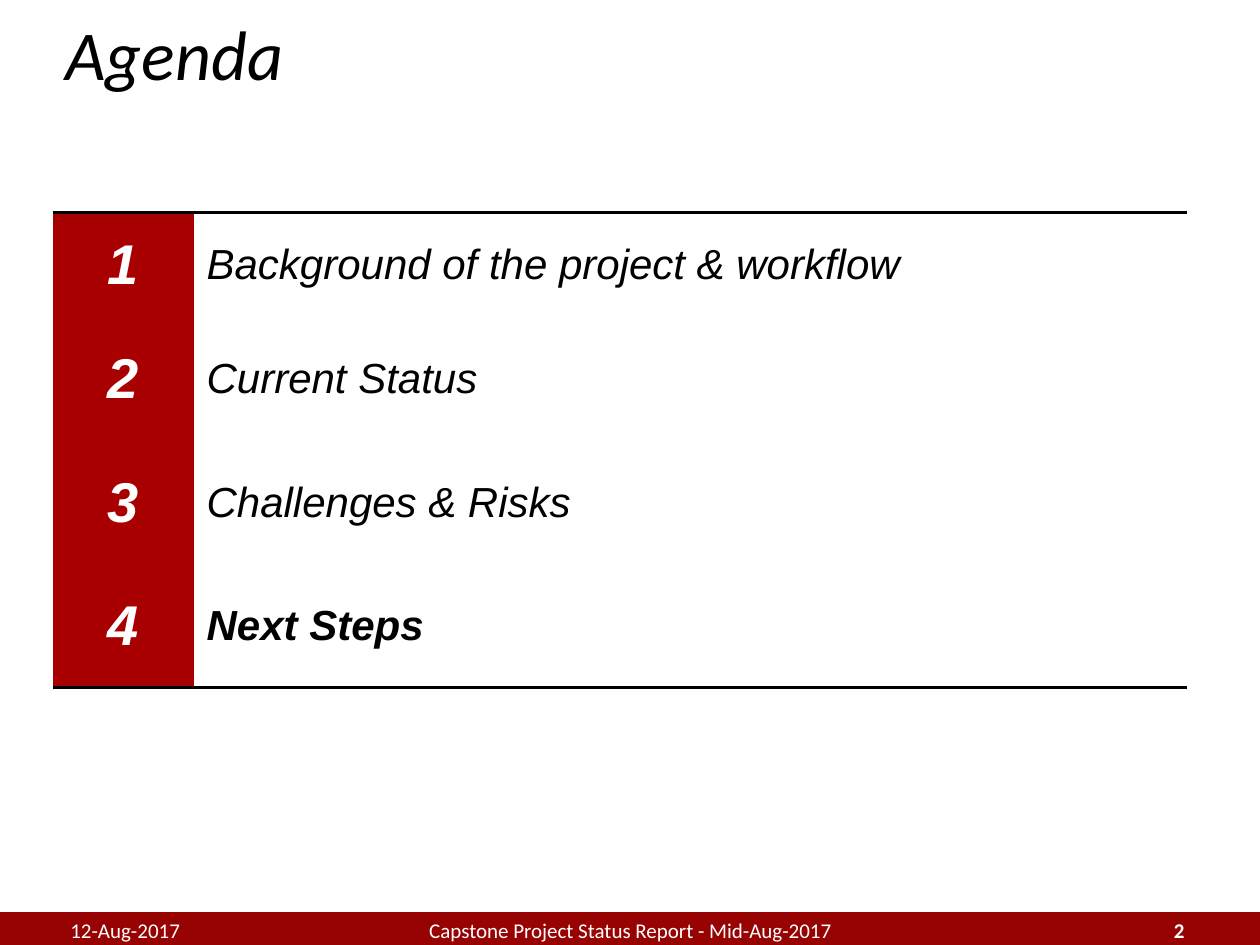
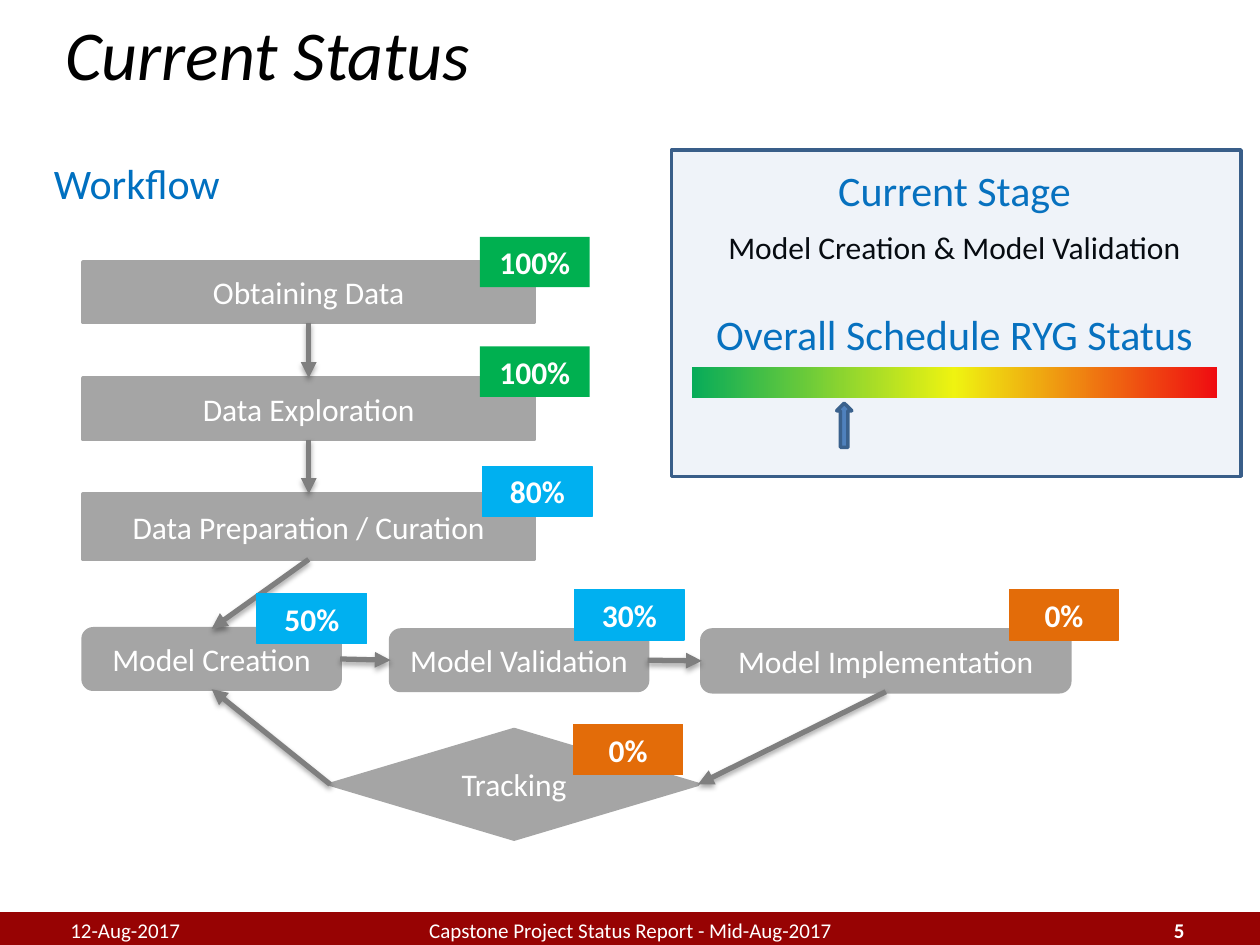
from copy import deepcopy

from lxml import etree
from pptx import Presentation
from pptx.dml.color import RGBColor
from pptx.enum.shapes import MSO_CONNECTOR as Connector, MSO_SHAPE as Shape
from pptx.enum.text import MSO_ANCHOR as Anchor, PP_ALIGN as Align
from pptx.oxml import parse_xml
from pptx.oxml.ns import nsdecls, qn
from pptx.util import Inches, Pt

BLACK, WHITE = "000000", "FFFFFF"
BAND_RED, NUMBER_RED = "970303", "A80000"
STEP_GRAY, ARROW_GRAY = "A5A5A5", "7F7F7F"
HEADING_BLUE, PANEL_BLUE, PANEL_LINE = "0070C0", "4F81BD", "395E89"
DONE_GREEN, ACTIVE_BLUE, WAITING_ORANGE = "00B050", "00B0F0", "E36C09"

TITLE = {"name": "Calibri", "size": Pt(40), "italic": True}
HEADING = {"name": "Calibri", "size": Pt(24)}
BODY = {"name": "Calibri", "size": Pt(18)}
BADGE = {**BODY, "bold": True}
FOOTER = {"name": "Calibri", "size": Pt(12)}
NUMBER = {"name": "Arial", "size": Pt(32), "bold": True, "italic": True}
TOPIC = {"name": "Arial", "size": Pt(24), "italic": True}

NO_GRID_STYLE = "{2D5ABB26-0587-4C30-8999-92F81FD0307C}"
TOP, LEFT, BOTTOM, RIGHT = range(4)  # connection sites of a shape


def rgb(color):
    return RGBColor.from_string(color)


def inches(*lengths):
    return [Inches(length) for length in lengths]


def write(frame, text, font, color, align=Align.LEFT):
    paragraph = frame.paragraphs[0]
    paragraph.alignment = align
    run = paragraph.add_run()
    run.text = text
    for name, value in font.items():
        setattr(run.font, name, value)
    run.font.color.rgb = rgb(color)


def add_text(slide, box, text, font, color, align=Align.LEFT, anchor=Anchor.TOP):
    frame = slide.shapes.add_textbox(*inches(*box)).text_frame
    frame.word_wrap = True
    frame.vertical_anchor = anchor
    write(frame, text, font, color, align)


def add_block(slide, kind, box, fill, line=None, width=2):
    shape = slide.shapes.add_shape(kind, *inches(*box))
    shape.shadow.inherit = False
    shape.fill.solid()
    shape.fill.fore_color.rgb = rgb(fill)
    if line:
        shape.line.color.rgb = rgb(line)
        shape.line.width = Pt(width)
    else:
        shape.line.fill.background()
    return shape


def add_frame(presentation, title, number):
    """Start a slide with its title, red band and footer."""
    slide = presentation.slides.add_slide(presentation.slide_layouts[6])
    add_block(slide, Shape.RECTANGLE, (0, 7.25, 10, 0.25), BAND_RED, BAND_RED)
    add_text(slide, (0.42, 0, 9.25, 0.83), title, TITLE, BLACK, anchor=Anchor.MIDDLE)
    footers = [
        (0.46, 2.33, "12-Aug-2017", Align.LEFT, False),
        (3.17, 3.67, "Capstone Project Status Report - Mid-Aug-2017", Align.CENTER, False),
        (7.17, 2.33, str(number), Align.RIGHT, True),
    ]
    for left, width, text, align, bold in footers:
        add_text(slide, (left, 7.18, width, 0.4), text, {**FOOTER, "bold": bold},
                 WHITE, align, Anchor.MIDDLE)
    return slide


def add_cell_border(cell, side):
    border = parse_xml(
        f'<a:{side} {nsdecls("a")} w="{Pt(2)}"><a:solidFill>'
        f'<a:srgbClr val="{BLACK}"/></a:solidFill></a:{side}>')
    cell._tc.get_or_add_tcPr().insert(0, border)


def add_agenda(slide, box, topics, current):
    """Number the topics in a table and set the current one in bold."""
    number_width = 1.12
    row_heights = [0.83] + [0.98] * (len(topics) - 1)
    frame = slide.shapes.add_table(len(topics), 2, *inches(*box))
    table = frame.table
    table.first_row = table.horz_banding = False
    next(frame._element.iter(qn("a:tableStyleId"))).text = NO_GRID_STYLE
    for column, width in zip(table.columns, (number_width, box[2] - number_width)):
        column.width = Inches(width)
    for index, (topic, height) in enumerate(zip(topics, row_heights)):
        table.rows[index].height = Inches(height)
        topic_font = {**TOPIC, "bold": topic == current}
        contents = [
            (str(index + 1), NUMBER, WHITE, Align.CENTER, NUMBER_RED),
            (topic, topic_font, BLACK, Align.LEFT, WHITE),
        ]
        for cell, (text, font, color, align, fill) in zip(table.rows[index].cells, contents):
            cell.vertical_anchor = Anchor.MIDDLE
            cell.fill.solid()
            cell.fill.fore_color.rgb = rgb(fill)
            write(cell.text_frame, text, font, color, align)
            if index == 0:
                add_cell_border(cell, "lnT")
            if index == len(topics) - 1:
                add_cell_border(cell, "lnB")


def add_arrow(slide, start, start_site, end, end_site):
    arrow = slide.shapes.add_connector(Connector.STRAIGHT, 0, 0, 0, 0)
    arrow.begin_connect(start, start_site)
    arrow.end_connect(end, end_site)
    arrow.line.color.rgb = rgb(ARROW_GRAY)
    arrow.line.width = Pt(3)
    etree.SubElement(arrow.line._get_or_add_ln(), qn("a:tailEnd"), type="triangle")
    arrow._element.spPr.append(parse_xml(
        f'<a:effectLst {nsdecls("a")}><a:outerShdw blurRad="{Pt(3.1)}" dist="{Pt(1.8)}" '
        f'dir="5400000" rotWithShape="0"><a:srgbClr val="{BLACK}">'
        '<a:alpha val="35000"/></a:srgbClr></a:outerShdw></a:effectLst>'))


def add_badge(slide, left, top, text, color):
    """Mark a step with its share of work done."""
    line = None if color == DONE_GREEN else color
    badge = add_block(slide, Shape.RECTANGLE, (left, top, 0.87, 0.4), color, line, 0.75)
    badge.text_frame.vertical_anchor = Anchor.TOP
    write(badge.text_frame, text, BADGE, WHITE, Align.CENTER)


def add_workflow(slide, left, top):
    add_text(slide, (left, top, 3.75, 0.5), "Workflow", HEADING, HEADING_BLUE)
    box, rounded = Shape.RECTANGLE, Shape.ROUNDED_RECTANGLE
    steps = [
        ("Obtaining Data", box, (0.33, 0.88, 3.58, 0.48)),
        ("Data Exploration", box, (0.33, 1.8, 3.58, 0.49)),
        ("Data Preparation / Curation", box, (0.33, 2.72, 3.58, 0.52)),
        ("Model Creation", rounded, (0.33, 3.79, 2.04, 0.48)),
        ("Model Validation", rounded, (2.77, 3.8, 2.04, 0.48)),
        ("Model Implementation", rounded, (5.24, 3.8, 2.92, 0.49)),
        ("Tracking", Shape.DIAMOND, (2.29, 4.59, 2.92, 0.87)),
    ]
    shapes = []
    for text, kind, (x, y, width, height) in steps:
        shape = add_block(slide, kind, (left + x, top + y, width, height),
                          STEP_GRAY, STEP_GRAY)
        shape.text_frame.word_wrap = True
        shape.text_frame.vertical_anchor = Anchor.MIDDLE
        write(shape.text_frame, text, BODY, WHITE, Align.CENTER)
        shapes.append(shape)

    obtaining, exploration, preparation, creation, validation, implementation, tracking = shapes
    arrows = [
        (obtaining, BOTTOM, exploration, TOP),
        (exploration, BOTTOM, preparation, TOP),
        (preparation, BOTTOM, creation, TOP),
        (creation, RIGHT, validation, LEFT),
        (validation, RIGHT, implementation, LEFT),
        (implementation, BOTTOM, tracking, RIGHT),
        (tracking, LEFT, creation, BOTTOM),
    ]
    for arrow in arrows:
        add_arrow(slide, *arrow)

    badges = [
        (3.48, 0.68, "100%", DONE_GREEN),
        (3.48, 1.55, "100%", DONE_GREEN),
        (3.5, 2.5, "80%", ACTIVE_BLUE),
        (1.71, 3.51, "50%", ACTIVE_BLUE),
        (4.23, 3.48, "30%", ACTIVE_BLUE),
        (7.68, 3.48, "0%", WAITING_ORANGE),
        (4.22, 4.55, "0%", WAITING_ORANGE),
    ]
    for x, y, text, color in badges:
        add_badge(slide, left + x, top + y, text, color)


def fill_with_gradient(shape, colors):
    """Spread the colours evenly from left to right."""
    shape.fill.gradient()
    shape.fill.gradient_angle = 0
    stops = next(shape._element.iter(qn("a:gsLst")))
    stops.insert(1, deepcopy(stops[0]))
    for index, (stop, color) in enumerate(zip(shape.fill.gradient_stops, colors)):
        stop.position = index / (len(colors) - 1)
        stop.color.rgb = rgb(color)


def add_status_panel(slide, box):
    left, top, width, height = box
    inner_left, inner_width = left + 0.16, 4.17
    lines = [
        (0.07, 0.5, "Current Stage", HEADING, HEADING_BLUE),
        (0.57, 0.45, "Model Creation & Model Validation", BODY, BLACK),
        (1.21, 0.5, "Overall Schedule RYG Status", HEADING, HEADING_BLUE),
    ]
    for y, line_height, text, font, color in lines:
        add_text(slide, (inner_left, top + y, inner_width, line_height),
                 text, font, color, Align.CENTER)
    scale = add_block(slide, Shape.RECTANGLE,
                      (inner_left, top + 1.72, inner_width, 0.25), DONE_GREEN)
    fill_with_gradient(scale, (DONE_GREEN, "FFFF00", "FF0000"))
    add_block(slide, Shape.UP_ARROW, (left + 1.31, top + 2.01, 0.12, 0.35),
              PANEL_BLUE, PANEL_LINE)
    panel = add_block(slide, Shape.RECTANGLE, box, PANEL_BLUE, PANEL_LINE)
    tint = panel._element.spPr.find(qn("a:solidFill"))[0]
    etree.SubElement(tint, qn("a:alpha"), val="9000")


def main():
    presentation = Presentation()
    presentation.slide_width, presentation.slide_height = inches(10, 7.5)

    agenda = add_frame(presentation, "Agenda", 2)
    topics = ["Background of the project & workflow", "Current Status",
              "Challenges & Risks", "Next Steps"]
    add_agenda(agenda, (0.42, 1.69, 9, 3.77), topics, "Next Steps")

    status = add_frame(presentation, "Current Status", 5)
    add_workflow(status, 0.33, 1.2)
    add_status_panel(status, (5.33, 1.19, 4.52, 2.59))

    presentation.save("out.pptx")


if __name__ == "__main__":
    main()
